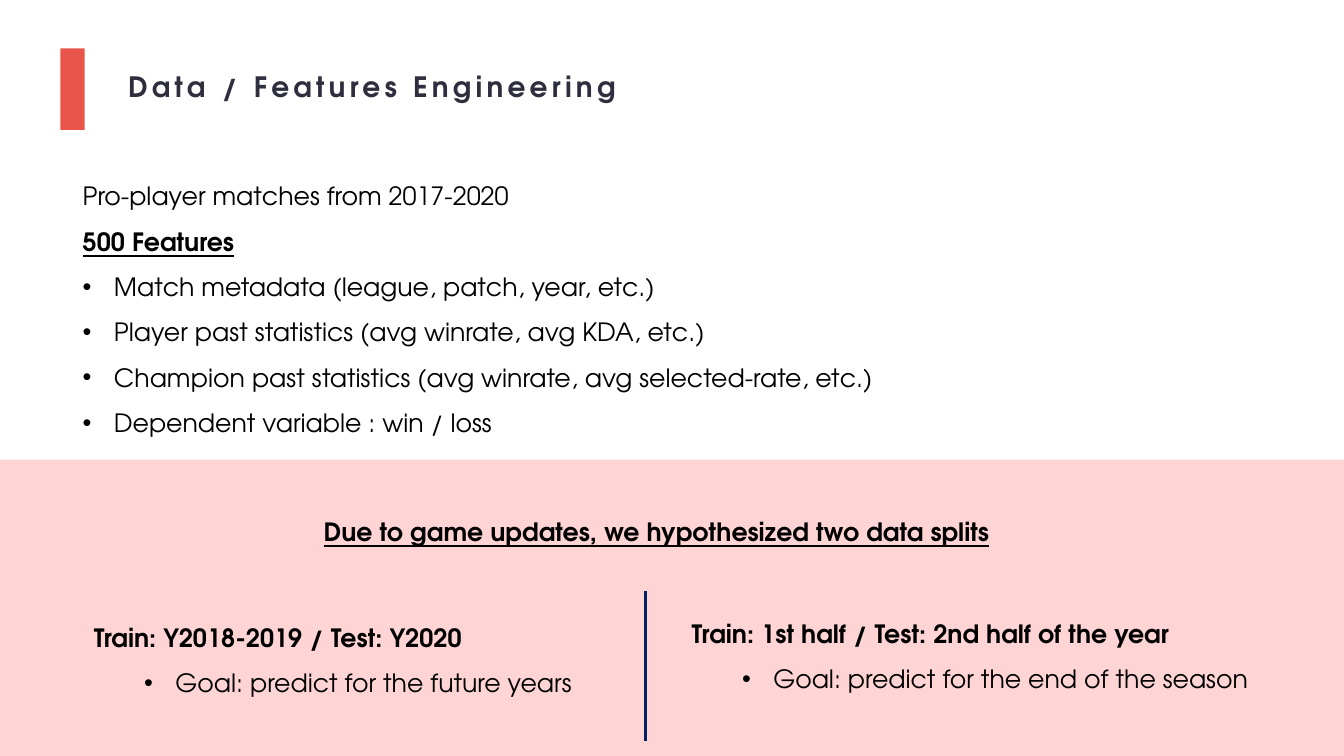
from dataclasses import dataclass

from lxml.etree import SubElement
from pptx import Presentation
from pptx.dml.color import RGBColor
from pptx.enum.shapes import MSO_CONNECTOR, MSO_SHAPE
from pptx.enum.text import MSO_ANCHOR, MSO_AUTO_SIZE, PP_ALIGN
from pptx.oxml.ns import qn
from pptx.util import Inches, Pt


@dataclass(frozen=True)
class Theme:
    font: str = "TeX Gyre Adventor"
    title_size: int = 20
    body_size: int = 18
    title_spacing: int = 300
    title_color: str = "2E2E3F"
    text_color: str = "000000"
    accent: str = "E9554A"
    band: str = "FF0000"
    band_alpha: int = 17
    divider: str = "002060"


THEME = Theme()
BULLET_INDENT = 0.31
LEVEL_INDENT = 0.5

PLAIN = {"bold": False, "underline": False}
STRONG = {"bold": True, "underline": False}
HEADING = {"bold": True, "underline": True}

FEATURES = [
    ("Pro-player matches from 2017-2020", PLAIN, None),
    ("500 Features", HEADING, None),
    ("Match metadata (league, patch, year, etc.)", PLAIN, 0),
    ("Player past statistics (avg winrate, avg KDA, etc.)", PLAIN, 0),
    ("Champion past statistics (avg winrate, avg selected-rate, etc.)", PLAIN, 0),
    ("Dependent variable : win / loss", PLAIN, 0),
]
SPLIT_HEADING = [("Due to game updates, we hypothesized two data splits", HEADING, None)]
YEAR_SPLIT = [
    ("Train: Y2018-2019 / Test: Y2020", STRONG, None),
    ("Goal: predict for the future years", PLAIN, 1),
]
SEASON_SPLIT = [
    ("Train: 1st half / Test: 2nd half of the year", STRONG, None),
    ("Goal: predict for the end of the season", PLAIN, 1),
]


def apply(target, values):
    for name, value in values.items():
        setattr(target, name, value)


def place(shape, left, top, width, height):
    apply(shape, {"left": Inches(left), "top": Inches(top),
                  "width": Inches(width), "height": Inches(height)})
    frame = shape.text_frame
    apply(frame, {
        "word_wrap": True,
        "auto_size": MSO_AUTO_SIZE.NONE,
        "vertical_anchor": MSO_ANCHOR.TOP,
        "margin_left": Inches(0.1),
        "margin_right": Inches(0.1),
        "margin_top": Inches(0.05),
        "margin_bottom": Inches(0.05),
    })
    return frame


def set_bullet(para, level):
    props = para._p.get_or_add_pPr()
    if level is None:
        margin, indent = 0, 0
        SubElement(props, qn("a:buNone"))
    else:
        margin, indent = BULLET_INDENT + level * LEVEL_INDENT, -BULLET_INDENT
        SubElement(props, qn("a:buFont"), typeface="Arial")
        SubElement(props, qn("a:buChar"), char="•")
        para.level = level
    props.set("marL", str(Inches(margin)))
    props.set("indent", str(Inches(indent)))


def add_span(para, text, size, color, style):
    span = para.add_run()
    span.text = text
    apply(span.font, {"name": THEME.font, "size": Pt(size), **style})
    span.font.color.rgb = RGBColor.from_string(color)
    return span


def write_title(shape, text, area):
    para = place(shape, *area).paragraphs[0]
    apply(para, {"alignment": PP_ALIGN.LEFT, "line_spacing": 1.0})
    span = add_span(para, text, THEME.title_size, THEME.title_color, STRONG)
    span.font._element.set("spc", str(THEME.title_spacing))


def write_lines(shape, lines, area, line_spacing=1.5):
    frame = place(shape, *area)
    for number, (text, style, level) in enumerate(lines):
        para = frame.add_paragraph() if number else frame.paragraphs[0]
        set_bullet(para, level)
        apply(para, {"alignment": PP_ALIGN.LEFT, "line_spacing": line_spacing,
                     "space_before": Pt(0), "space_after": Pt(0)})
        add_span(para, text, THEME.body_size, THEME.text_color, style)


def add_block(page, color, area, alpha=100):
    block = page.shapes.add_shape(MSO_SHAPE.RECTANGLE, *map(Inches, area))
    block.shadow.inherit = False
    block.line.fill.background()
    block.fill.solid()
    block.fill.fore_color.rgb = RGBColor.from_string(color)
    if alpha < 100:
        tint = block._element.spPr.find(".//" + qn("a:srgbClr"))
        SubElement(tint, qn("a:alpha"), val=str(alpha * 1000))
    return block


def add_divider(page, x, top, bottom):
    line = page.shapes.add_connector(
        MSO_CONNECTOR.STRAIGHT, *map(Inches, (x, top, x, bottom)))
    line.line.color.rgb = RGBColor.from_string(THEME.divider)
    line.line.width = Pt(2.25)
    SubElement(line._element.spPr, qn("a:effectLst"))


def main():
    deck = Presentation()
    apply(deck, {"slide_width": Inches(13.33), "slide_height": Inches(7.5)})
    page = deck.slides.add_slide(deck.slide_layouts.get_by_name("Comparison"))
    title, heading, features, left_split, right_split = page.placeholders

    band = add_block(page, THEME.band, (0, 4.56, 13.33, 2.94), THEME.band_alpha)
    page.shapes._spTree.insert(2, band._element)
    add_block(page, THEME.accent, (0.6, 0.48, 0.24, 0.81))

    write_title(title, "Data / Features Engineering", (1.17, 0.64, 8.1, 0.44))
    write_lines(features, FEATURES, (0.72, 1.59, 9.75, 2.77))
    write_lines(heading, SPLIT_HEADING, (3.11, 5.07, 7.29, 0.4), 1.0)
    write_lines(left_split, YEAR_SPLIT, (0.83, 5.97, 5.57, 0.95))
    write_lines(right_split, SEASON_SPLIT, (6.76, 5.93, 6.5, 0.95))
    add_divider(page, 6.4, 5.86, 7.35)

    deck.save("out.pptx")


if __name__ == "__main__":
    main()
